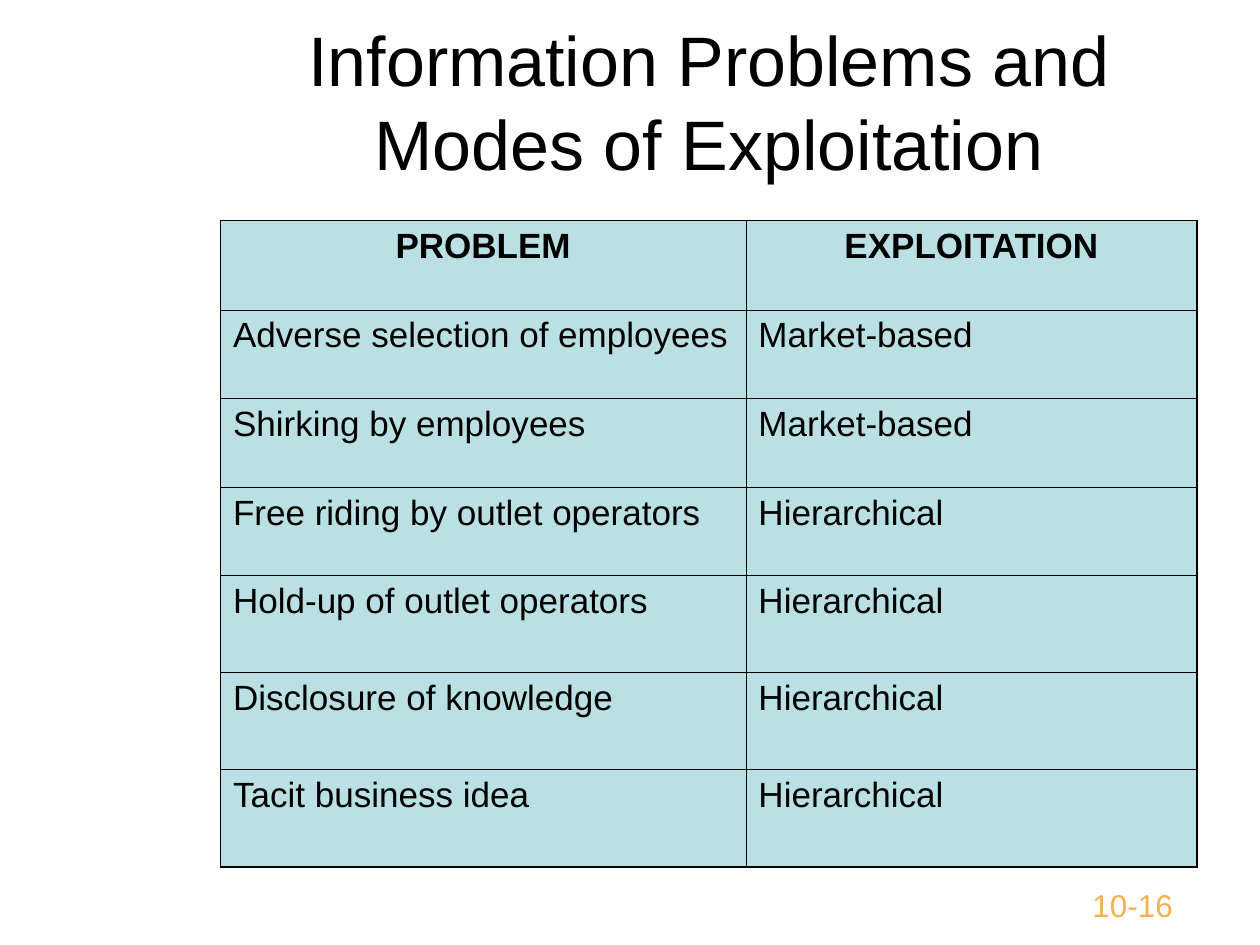
from dataclasses import dataclass

from lxml.etree import SubElement
from pptx import Presentation
from pptx.dml.color import RGBColor
from pptx.enum.text import MSO_ANCHOR as Anchor, PP_ALIGN as Align
from pptx.oxml.ns import qn
from pptx.util import Inches, Pt


@dataclass(frozen=True)
class Theme:
    font: str = "Arial"
    ink: str = "000000"
    cell: str = "BBE0E3"
    accent: str = "FAB04E"
    title_size: int = 40
    table_size: int = 20
    number_size: int = 18
    outer_line: float = 1.08
    inner_line: float = 0.45


THEME = Theme()
ROWS = [
    ("PROBLEM", "EXPLOITATION"),
    ("Adverse selection of employees", "Market-based"),
    ("Shirking by employees", "Market-based"),
    ("Free riding by outlet operators", "Hierarchical"),
    ("Hold-up of outlet operators", "Hierarchical"),
    ("Disclosure of knowledge", "Hierarchical"),
    ("Tacit business idea", "Hierarchical"),
]
COLUMN_WIDTHS = (4.17, 3.58)
ROW_HEIGHTS = (0.71, 0.7, 0.71, 0.7, 0.77, 0.77, 0.77)


def style(paragraph, size, color=THEME.ink, align=Align.LEFT, bold=False):
    paragraph.alignment = align
    font = paragraph.font
    font.name, font.size, font.bold = THEME.font, Pt(size), bold
    font.color.rgb = RGBColor.from_string(color)


def add_text(slide, box, text, anchor):
    """Add a wrapping text box and return its frame."""
    frame = slide.shapes.add_textbox(*map(Inches, box)).text_frame
    frame.word_wrap = True
    frame.vertical_anchor = anchor
    frame.text = text
    return frame


def add_title(slide, box):
    frame = add_text(slide, box, "Information Problems and Modes of Exploitation",
                     Anchor.MIDDLE)
    style(frame.paragraphs[0], THEME.title_size, align=Align.CENTER)


def add_page_number(slide, box):
    frame = add_text(slide, box, "10-16", Anchor.BOTTOM)
    frame.margin_left = frame.margin_right = Inches(0.05)
    number = frame.paragraphs[0]
    number.line_spacing = Pt(44)
    style(number, THEME.number_size, THEME.accent)


def set_borders(cell, outer_sides):
    """Draw all four borders, heavier where the cell meets the table's edge."""
    properties = cell._tc.get_or_add_tcPr()
    for position, side in enumerate("LRTB"):
        weight = THEME.outer_line if side in outer_sides else THEME.inner_line
        line = properties.makeelement(qn(f"a:ln{side}"), {"w": str(int(Pt(weight)))})
        fill = SubElement(line, qn("a:solidFill"))
        SubElement(fill, qn("a:srgbClr"), val=THEME.ink)
        properties.insert(position, line)


def add_problem_table(slide, box):
    table = slide.shapes.add_table(len(ROWS), len(COLUMN_WIDTHS),
                                   *map(Inches, box)).table
    for column, width in zip(table.columns, COLUMN_WIDTHS):
        column.width = Inches(width)
    for row, height in zip(table.rows, ROW_HEIGHTS):
        row.height = Inches(height)

    for r, entries in enumerate(ROWS):
        for c, entry in enumerate(entries):
            cell = table.cell(r, c)
            cell.text = entry
            cell.fill.solid()
            cell.fill.fore_color.rgb = RGBColor.from_string(THEME.cell)
            header = r == 0
            style(cell.text_frame.paragraphs[0], THEME.table_size,
                  align=Align.CENTER if header else Align.LEFT, bold=header)
            outer_sides = "L" if c == 0 else "R"
            if header:
                outer_sides += "T"
            if r == len(ROWS) - 1:
                outer_sides += "B"
            set_borders(cell, outer_sides)


def main():
    deck = Presentation()
    deck.slide_width, deck.slide_height = Inches(10), Inches(7.5)
    slide = deck.slides.add_slide(deck.slide_layouts[6])
    add_page_number(slide, (8.62, 6.67, 1.6, 0.71))
    add_title(slide, (1.75, 0.17, 7.75, 1.25))
    add_problem_table(slide, (1.75, 1.75, sum(COLUMN_WIDTHS), sum(ROW_HEIGHTS)))
    deck.save("out.pptx")


if __name__ == "__main__":
    main()
